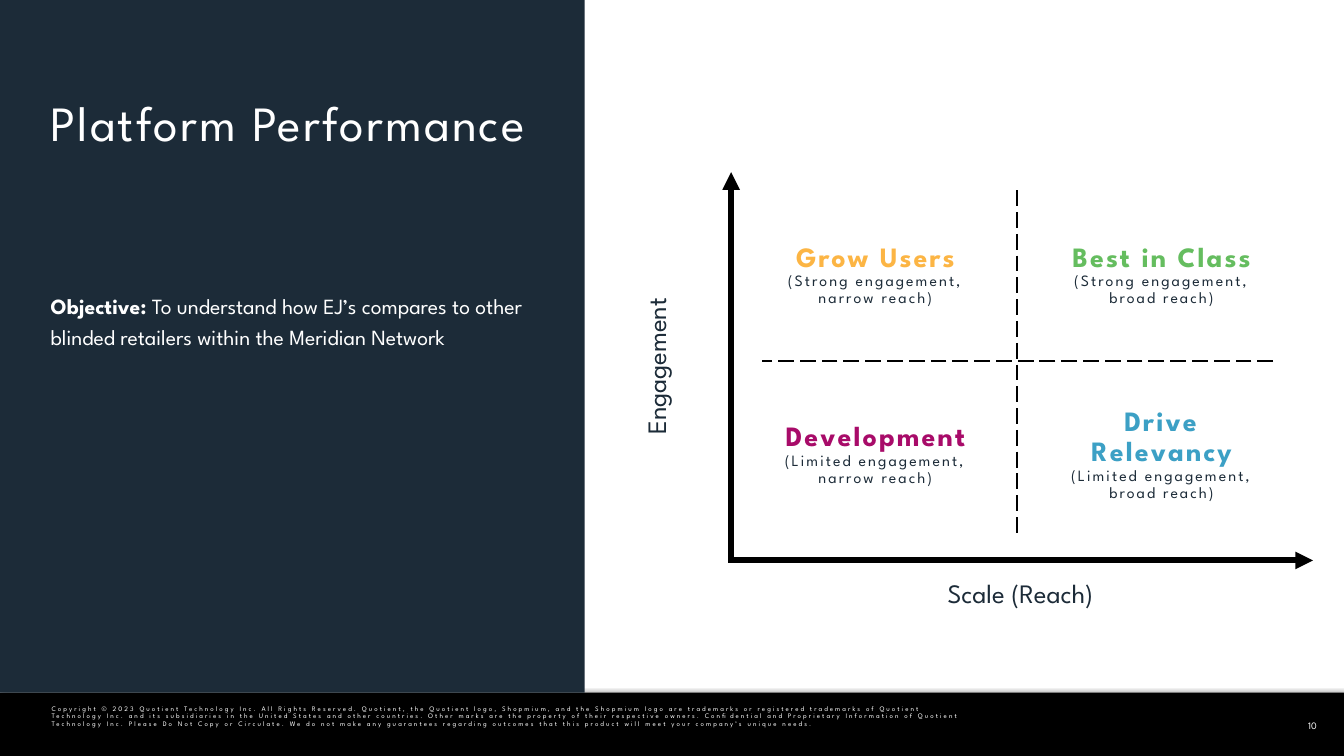
import pptx
import pptx.util
import pptx.dml.color
import pptx.enum.dml
import pptx.enum.shapes
import pptx.enum.text
import pptx.oxml
import pptx.oxml.ns

Cm = pptx.util.Cm
Pt = pptx.util.Pt
RGBColor = pptx.dml.color.RGBColor
ALIGN = pptx.enum.text.PP_ALIGN
ANCHOR = pptx.enum.text.MSO_ANCHOR

BLACK = RGBColor(0x00, 0x00, 0x00)
WHITE = RGBColor(0xFF, 0xFF, 0xFF)
NAVY = RGBColor(0x1C, 0x2B, 0x38)
AMBER = RGBColor(0xFC, 0xB5, 0x44)
GREEN = RGBColor(0x65, 0xBD, 0x5F)
BLUE = RGBColor(0x3C, 0xA0, 0xC5)
MAGENTA = RGBColor(0xA8, 0x0B, 0x69)

BAR_SHADOW = (
    f'<a:effectLst {pptx.oxml.ns.nsdecls("a")}>'
    '<a:outerShdw blurRad="50800" dist="12700" dir="0">'
    '<a:srgbClr val="000000"><a:alpha val="50000"/></a:srgbClr>'
    "</a:outerShdw></a:effectLst>"
)
COPYRIGHT = (
    "Copyright © 2023 Quotient Technology Inc. All Rights Reserved. Quotient, the Quotient logo, "
    "Shopmium, and the Shopmium logo are trademarks or registered trademarks of Quotient Technology "
    "Inc. and its subsidiaries in the United States and other countries. Other marks are the property "
    "of their respective owners. Confidential and Proprietary Information of Quotient Technology Inc. "
    "Please Do Not Copy or Circulate. We do not make any guarantees regarding outcomes that this "
    "product will meet your company’s unique needs."
)


class SlideBuilder:
    """Draws styled elements on the current slide."""

    font_name = "League Spartan"

    def __init__(self, slide):
        self.slide = slide

    def style(self, paragraph, size, color, bold=False, spacing=0, align=ALIGN.LEFT, line=0.9):
        paragraph.alignment = align
        paragraph.line_spacing = line
        font = paragraph.font
        font.name = self.font_name
        font.size = Pt(size)
        font.bold = bold
        font.color.rgb = color
        if spacing:
            properties = paragraph._p.get_or_add_pPr().get_or_add_defRPr()
            properties.set("spc", str(round(spacing * 100)))

    def frame(self, shape, insets, anchor=ANCHOR.TOP, wrap=True):
        frame = shape.text_frame
        frame.word_wrap = wrap
        frame.auto_size = pptx.enum.text.MSO_AUTO_SIZE.NONE
        frame.vertical_anchor = anchor
        (frame.margin_left, frame.margin_top,
         frame.margin_right, frame.margin_bottom) = [Cm(inset) for inset in insets]
        return frame

    def title(self, text, left, top, width, height):
        title = self.slide.shapes.title
        title.left, title.top, title.width, title.height = map(Cm, (left, top, width, height))
        frame = self.frame(title, (0, 0, 0.15, 0.15))
        frame.text = text
        self.style(frame.paragraphs[0], 50, WHITE, spacing=2, line=1.0)

    def panel(self, left, top, width, height, color, shadow=None):
        panel = self.slide.shapes.add_shape(
            pptx.enum.shapes.MSO_SHAPE.RECTANGLE, *map(Cm, (left, top, width, height)))
        panel.fill.solid()
        panel.fill.fore_color.rgb = color
        panel.line.fill.background()
        if shadow:
            panel._element.spPr.append(pptx.oxml.parse_xml(shadow))
        else:
            panel.shadow.inherit = False

    def text(self, text, left, top, width, height, size, color, insets=(0, 0, 0, 0),
             anchor=ANCHOR.TOP, wrap=True, rotation=0, **style):
        box = self.slide.shapes.add_textbox(*map(Cm, (left, top, width, height)))
        box.rotation = rotation
        paragraph = self.frame(box, insets, anchor, wrap).paragraphs[0]
        paragraph.text = text
        self.style(paragraph, size, color, **style)
        return paragraph

    def line(self, start, end, width, arrow=False):
        connector = self.slide.shapes.add_connector(
            pptx.enum.shapes.MSO_CONNECTOR.STRAIGHT, *map(Cm, start + end))
        connector.line.color.rgb = BLACK
        connector.line.width = Pt(width)
        if arrow:
            tail = pptx.oxml.parse_xml(
                f'<a:tailEnd {pptx.oxml.ns.nsdecls("a")} type="triangle"/>')
            connector.line._get_or_add_ln().append(tail)
        else:
            connector.line.dash_style = pptx.enum.dml.MSO_LINE.LONG_DASH
        connector._element.spPr.append(
            pptx.oxml.parse_xml(f'<a:effectLst {pptx.oxml.ns.nsdecls("a")}/>'))

    def axis_label(self, text, left, top, rotation=0):
        self.text(text, left, top, 2.54, 2.54, 27, NAVY, insets=(0.15,) * 4,
                  anchor=ANCHOR.MIDDLE, wrap=False, rotation=rotation, align=ALIGN.CENTER)

    def quadrant(self, name, note, color, left, middle, height=2.59):
        box = self.slide.shapes.add_textbox(
            *map(Cm, (left, middle - height / 2, 8.13, height)))
        frame = self.frame(box, (0.25, 0.13, 0.25, 0.13))
        frame.text = f"{name}\n{note}"
        heading, detail = frame.paragraphs
        self.style(heading, 28.4, color, bold=True, spacing=2.1, align=ALIGN.CENTER)
        self.style(detail, 16, NAVY, spacing=2.1, align=ALIGN.CENTER)


def main():
    presentation = pptx.Presentation()
    presentation.slide_width = Cm(48.18)
    presentation.slide_height = Cm(27.1)
    builder = SlideBuilder(presentation.slides.add_slide(presentation.slide_layouts[5]))

    builder.panel(0, 24.83, 48.18, 2.27, BLACK, BAR_SHADOW)
    builder.text(COPYRIGHT, 1.85, 25.29, 32.9, 1.02, 7, WHITE, spacing=2.1)
    builder.text("10", 45.97, 24.92, 2.16, 2.21, 10, WHITE, insets=(0.25, 0.13, 0.25, 0.13),
                 anchor=ANCHOR.MIDDLE, align=ALIGN.CENTER)
    builder.panel(0, 0, 20.96, 24.83, NAVY)

    title = builder.slide.shapes.title._element
    title.getparent().append(title)
    builder.title("Platform Performance", 1.81, 3.31, 17.45, 2.84)
    objective = builder.text("Objective:", 1.82, 10.16, 17.42, 13.61, 22, WHITE,
                             insets=(0, 0.15, 0.15, 0.15), line=1.2)
    objective.runs[0].font.bold = True
    objective.add_run().text = (
        " To understand how EJ’s compares to other blinded retailers within the Meridian Network")

    axis_x, axis_y = 26.21, 20.09
    builder.line((axis_x, axis_y), (axis_x, 6.17), 6, arrow=True)
    builder.line((axis_x - 0.1, axis_y), (47.07, axis_y), 6, arrow=True)
    builder.line((36.47, 6.82), (36.47, 19.17), 2)
    builder.line((45.64, 12.93), (27.33, 12.93), 2)
    builder.axis_label("Scale (Reach)", 35.31, 20.07)
    builder.axis_label("Engagement", 22.3, 11.86, rotation=270)

    narrow, broad = 27.32, 37.58
    strong, limited = 9.88, 16.31
    builder.quadrant("Grow Users", "(Strong engagement, narrow reach)", AMBER, narrow, strong)
    builder.quadrant("Best in Class", "(Strong engagement, broad reach)", GREEN, broad, strong)
    builder.quadrant("Drive Relevancy", "(Limited engagement, broad reach)", BLUE, broad, limited,
                     height=3.68)
    builder.quadrant("Development", "(Limited engagement, narrow reach)", MAGENTA, narrow, limited)

    presentation.save("out.pptx")


if __name__ == "__main__":
    main()
